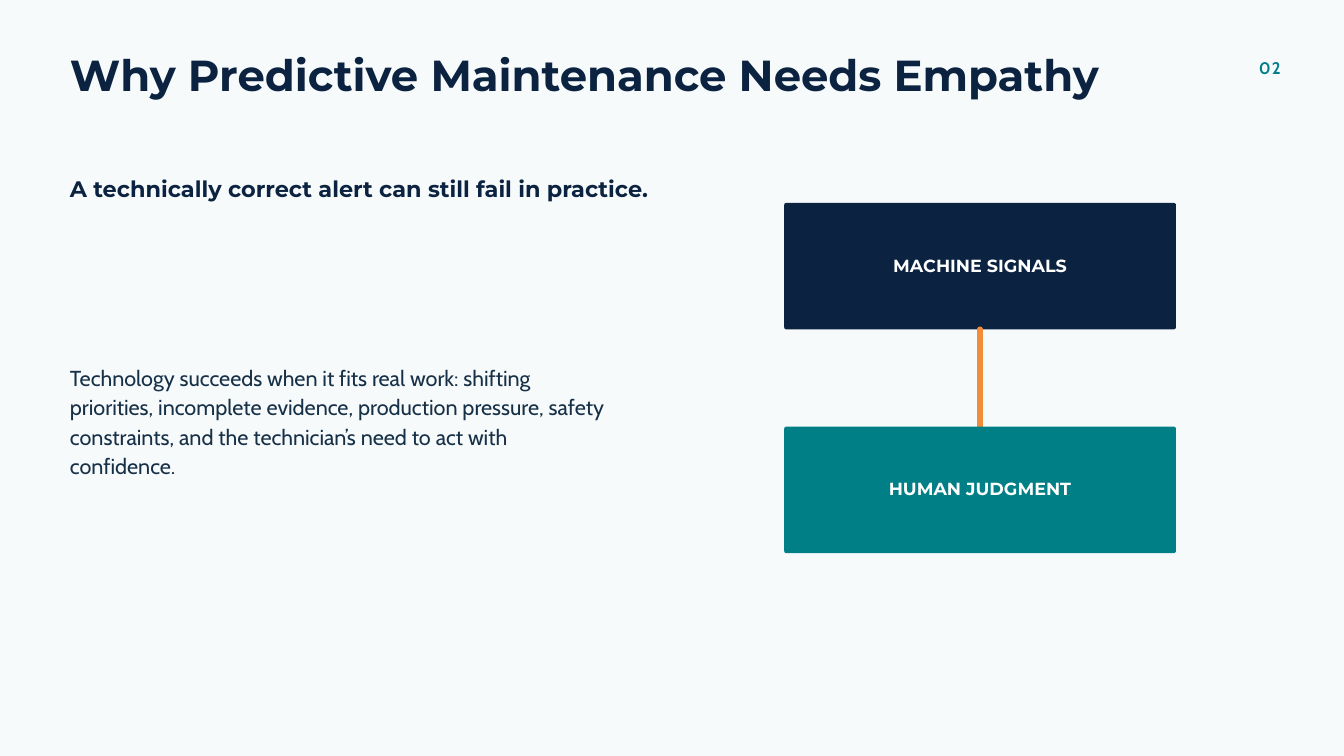
from pptx import Presentation
from pptx.dml.color import RGBColor
from pptx.enum.shapes import MSO_CONNECTOR, MSO_SHAPE
from pptx.enum.text import MSO_ANCHOR, PP_ALIGN
from pptx.oxml.ns import qn
from pptx.util import Inches, Pt
from lxml import etree

LEFT, CENTER, RIGHT = PP_ALIGN.LEFT, PP_ALIGN.CENTER, PP_ALIGN.RIGHT
MIDDLE = MSO_ANCHOR.MIDDLE
ROUNDED = MSO_SHAPE.ROUNDED_RECTANGLE
STRAIGHT = MSO_CONNECTOR.STRAIGHT
BOTTOM_SITE, TOP_SITE = 2, 0

THEME = {
    "background": "F7FAFB", "navy": "0B2340", "teal": "007F86",
    "ink": "163047", "white": "FFFFFF", "orange": "F28C3A",
    # style: font, size, line height, bold, colour, alignment, letter spacing
    "title": ("Montserrat", 46.5, 48.8, True, "navy", LEFT, 0),
    "number": ("Cabin", 18, 25.2, True, "teal", RIGHT, 1.4),
    "lead": ("Montserrat", 24, 25.2, True, "navy", LEFT, 0),
    "body": ("Cabin", 23.2, 31.4, False, "ink", LEFT, 0),
    "label": ("Montserrat", 18.8, 20.6, True, "white", CENTER, 0),
}

# Content: style, (left, top, width, height), text
TEXTS = [
    ("title", (1.04, 0.81, 15.62, 0.69), "Why Predictive Maintenance Needs Empathy"),
    ("number", (18.33, 0.81, 0.73, 0.34), "02"),
    ("lead", (1.04, 2.65, 8.85, 0.35),
     "A technically correct alert can still fail in practice."),
    ("body", (1.04, 5.38, 8.12, 1.7),
     "Technology succeeds when it fits real work: shifting priorities, "
     "incomplete evidence, production pressure, safety constraints, and the "
     "technician’s need to act with confidence."),
]
SIGNALS = ("MACHINE SIGNALS", "navy")
JUDGMENT = ("HUMAN JUDGMENT", "teal")

# Diagram geometry in inches
BOX_LEFT, BOX_TOP, BOX_WIDTH, BOX_HEIGHT = 11.67, 3.02, 5.83, 1.88
BOX_GAP, CORNER, LABEL_MARGIN = 1.45, 0.03, 0.06


def color(name):
    return RGBColor.from_string(THEME[name])


def write(shape, text, style, margin=0):
    font_name, size, line_height, bold, ink, alignment, tracking = THEME[style]
    frame = shape.text_frame
    frame.word_wrap = True
    frame.margin_left = frame.margin_right = Inches(margin)
    frame.margin_top = frame.margin_bottom = Inches(margin)
    frame.text = text
    paragraph = frame.paragraphs[0]
    paragraph.alignment = alignment
    paragraph.line_spacing = Pt(line_height)
    run = paragraph.runs[0]
    run.font.name, run.font.size, run.font.bold = font_name, Pt(size), bold
    run.font.color.rgb = color(ink)
    if tracking:
        run._r.get_or_add_rPr().set("spc", str(round(tracking * 100)))


def add_box(slide, top, label, fill):
    box = slide.shapes.add_shape(
        ROUNDED, Inches(BOX_LEFT), Inches(top), Inches(BOX_WIDTH), Inches(BOX_HEIGHT))
    box.adjustments[0] = CORNER / BOX_HEIGHT
    box.shadow.inherit = False
    box.fill.solid()
    box.fill.fore_color.rgb = color(fill)
    box.line.fill.background()
    write(box, label, "label", LABEL_MARGIN)
    box.text_frame.vertical_anchor = MIDDLE
    return box


def add_link(slide, top, bottom):
    middle = Inches(BOX_LEFT + BOX_WIDTH / 2)
    link = slide.shapes.add_connector(
        STRAIGHT, middle, Inches(top), middle, Inches(bottom))
    link.line.color.rgb = color("orange")
    link.line.width = Pt(6)
    link.line._get_or_add_ln().set("cap", "rnd")
    etree.SubElement(link._element.spPr, qn("a:effectLst"))
    return link


def main():
    presentation = Presentation()
    presentation.slide_width, presentation.slide_height = Inches(20), Inches(11.25)
    slide = presentation.slides.add_slide(presentation.slide_layouts[6])
    slide.background.fill.solid()
    slide.background.fill.fore_color.rgb = color("background")

    # Heading, page number and copy
    for style, bounds, text in TEXTS:
        write(slide.shapes.add_textbox(*map(Inches, bounds)), text, style)

    # Diagram: the link lies over the upper box and under the lower one
    link_top = BOX_TOP + BOX_HEIGHT
    link_bottom = link_top + BOX_GAP
    signals = add_box(slide, BOX_TOP, *SIGNALS)
    link = add_link(slide, link_top, link_bottom)
    judgment = add_box(slide, link_bottom, *JUDGMENT)
    link.begin_connect(signals, BOTTOM_SITE)
    link.end_connect(judgment, TOP_SITE)

    presentation.save("out.pptx")


if __name__ == "__main__":
    main()
